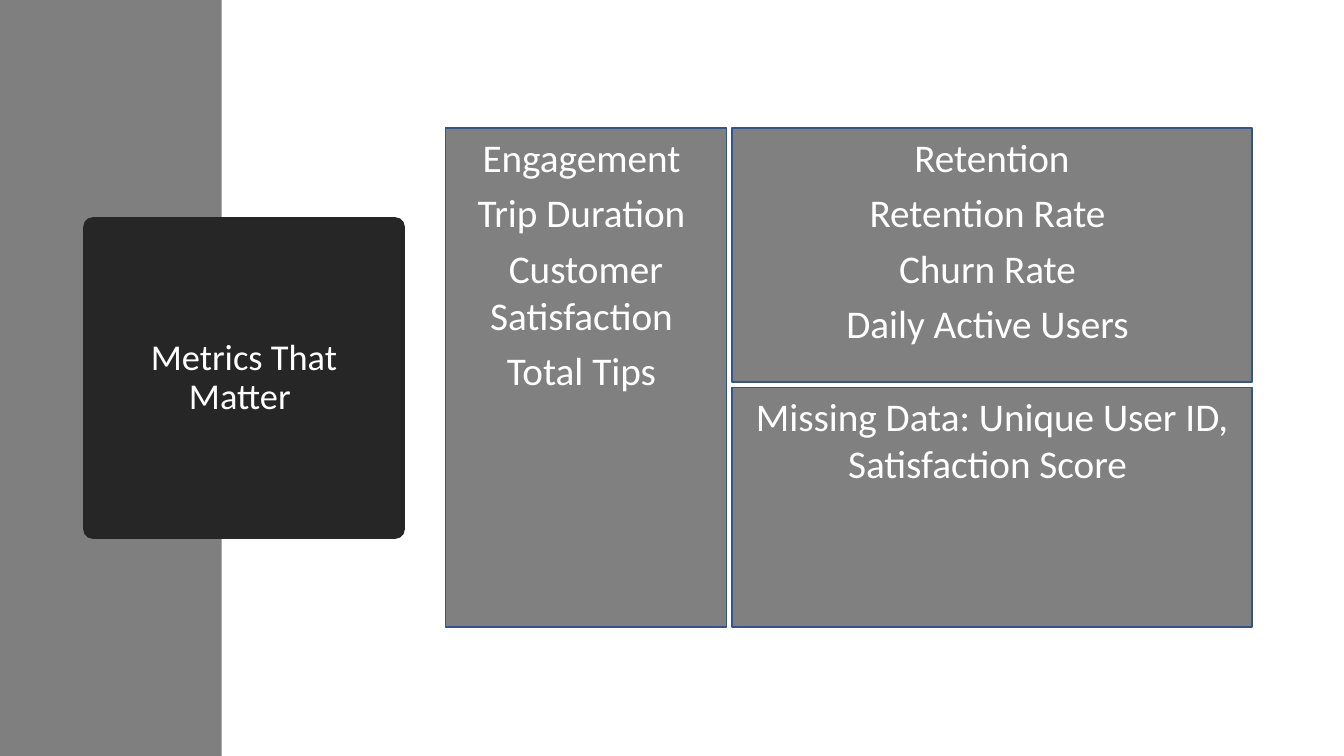
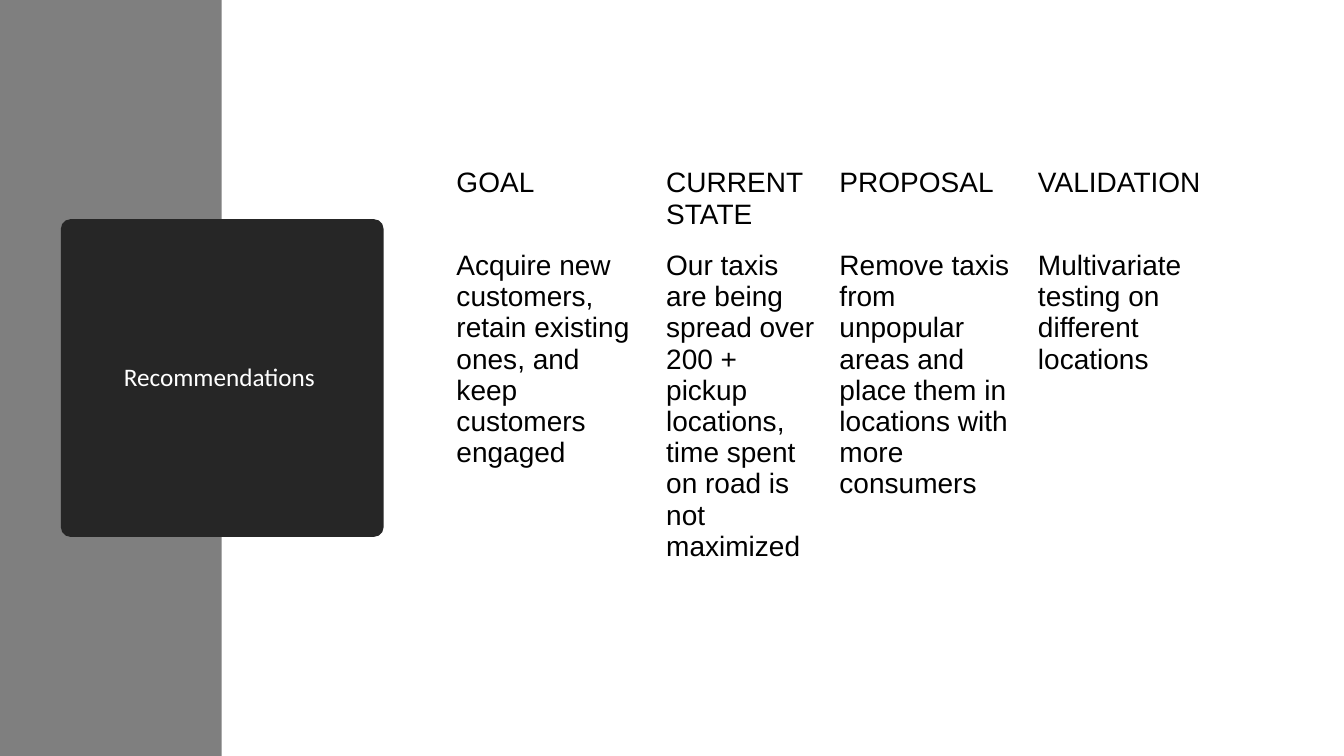
from dataclasses import dataclass

from pptx import Presentation
from pptx.dml.color import RGBColor
from pptx.enum.shapes import MSO_SHAPE
from pptx.enum.text import MSO_ANCHOR, PP_ALIGN
from pptx.util import Pt

RECTANGLE = MSO_SHAPE.RECTANGLE
ROUNDED = MSO_SHAPE.ROUNDED_RECTANGLE
CENTER, LEFT = PP_ALIGN.CENTER, PP_ALIGN.LEFT
TOP, MIDDLE = MSO_ANCHOR.TOP, MSO_ANCHOR.MIDDLE

COLORS = {
    "band": "7F7F7F",
    "panel": "808080",
    "panel_line": "325491",
    "title": "262626",
    "light": "FFFFFF",
    "dark": "000000",
}
SLIDE_WIDTH, SLIDE_HEIGHT = 960, 540
BAND_WIDTH = 158.4
CONTENT_LEFT = 318.2


@dataclass(frozen=True)
class Box:
    left: float
    top: float
    width: float
    height: float


@dataclass(frozen=True)
class TextStyle:
    size: float
    font: str
    color: str
    align: PP_ALIGN = CENTER
    paragraph_format: tuple = ()


@dataclass(frozen=True)
class Panel:
    box: Box
    lines: tuple[str, ...]


@dataclass(frozen=True)
class Title:
    text: str
    size: float
    left: float
    width: float
    height: float


@dataclass(frozen=True)
class Column:
    width: float
    heading: str
    body: str


# Metric panels: one tall panel beside two stacked ones
GAP = 4
PANEL_TOP, PANEL_HEIGHT = 91.4, 356.4
NARROW, WIDE, UPPER = 200.6, 371.5, 181.4
RIGHT_LEFT = CONTENT_LEFT + NARROW + GAP
LOWER_TOP = PANEL_TOP + UPPER + GAP
PANELS = (
    Panel(Box(CONTENT_LEFT, PANEL_TOP, NARROW, PANEL_HEIGHT),
          ("Engagement ", "Trip Duration ", "Customer Satisfaction ", "Total Tips ")),
    Panel(Box(RIGHT_LEFT, PANEL_TOP, WIDE, UPPER),
          ("Retention", "Retention Rate ", "Churn Rate ", "Daily Active Users ")),
    Panel(Box(RIGHT_LEFT, LOWER_TOP, WIDE, PANEL_HEIGHT - UPPER - GAP),
          ("Missing Data: Unique User ID, Satisfaction Score ",)),
)
PANEL_STYLE = TextStyle(28, "Calibri", "light", paragraph_format=(("space_after", Pt(6)),))

# Recommendation table
TABLE_TOP = 116
ROW_HEIGHTS = (59, 248.4)
COLUMNS = (
    Column(149.8, "GOAL",
           "Acquire new customers, retain existing ones, and keep customers engaged"),
    Column(123.8, "CURRENT STATE",
           "Our taxis are being spread over 200 + pickup locations, "
           "time spent on road is not maximized"),
    Column(141.8, "PROPOSAL",
           "Remove taxis from unpopular areas and place them in locations with more consumers"),
    Column(150.5, "VALIDATION", "Multivariate testing on different locations"),
)
TABLE_STYLE = TextStyle(20, "Arial", "dark", LEFT)
CELL_FORMAT = {
    "margin_left": Pt(7.9),
    "margin_right": Pt(7.9),
    "margin_top": Pt(3.6),
    "margin_bottom": Pt(3.6),
    "vertical_anchor": TOP,
}


def rgb(name: str) -> RGBColor:
    return RGBColor.from_string(COLORS[name])


def apply_format(target, values: dict) -> None:
    for name, value in values.items():
        setattr(target, name, value)


def write_text(frame, lines: tuple[str, ...], style: TextStyle) -> None:
    frame.word_wrap = True
    for index, line in enumerate(lines):
        paragraph = frame.paragraphs[0] if index == 0 else frame.add_paragraph()
        apply_format(paragraph, {"alignment": style.align, **dict(style.paragraph_format)})
        run = paragraph.add_run()
        run.text = line
        apply_format(run.font, {"size": Pt(style.size), "name": style.font, "bold": False})
        run.font.color.rgb = rgb(style.color)


def add_box(slide, kind: MSO_SHAPE, box: Box, fill: str, line: str | None = None):
    shape = slide.shapes.add_shape(
        kind, Pt(box.left), Pt(box.top), Pt(box.width), Pt(box.height))
    shape.shadow.inherit = False
    shape.fill.solid()
    shape.fill.fore_color.rgb = rgb(fill)
    if line:
        shape.line.color.rgb = rgb(line)
        shape.line.width = Pt(1)
    else:
        shape.line.fill.background()
    return shape


def add_base_slide(presentation):
    """Add a blank slide with the side band."""
    slide = presentation.slides.add_slide(presentation.slide_layouts[6])
    add_box(slide, RECTANGLE, Box(0, 0, BAND_WIDTH, SLIDE_HEIGHT), "band")
    return slide


def add_title(slide, title: Title) -> None:
    top = (SLIDE_HEIGHT - title.height) / 2
    shape = add_box(slide, ROUNDED, Box(title.left, top, title.width, title.height), "title")
    shape.adjustments[0] = 0.03
    apply_format(shape.text_frame, {
        "margin_left": Pt(20), "margin_right": Pt(20), "vertical_anchor": MIDDLE})
    style = TextStyle(title.size, "Calibri", "light",
                      paragraph_format=(("line_spacing", 0.9),))
    write_text(shape.text_frame, (title.text,), style)


def add_panel(slide, panel: Panel) -> None:
    shape = add_box(slide, RECTANGLE, panel.box, "panel", "panel_line")
    shape.text_frame.vertical_anchor = TOP
    write_text(shape.text_frame, panel.lines, PANEL_STYLE)


def add_recommendation_table(slide) -> None:
    width = sum(column.width for column in COLUMNS)
    table = slide.shapes.add_table(
        len(ROW_HEIGHTS), len(COLUMNS), Pt(CONTENT_LEFT), Pt(TABLE_TOP),
        Pt(width), Pt(sum(ROW_HEIGHTS))).table
    apply_format(table, {"first_row": False, "horz_banding": False})
    for row, height in zip(table.rows, ROW_HEIGHTS):
        row.height = Pt(height)
    for column_index, column in enumerate(COLUMNS):
        table.columns[column_index].width = Pt(column.width)
        for row_index, text in enumerate((column.heading, column.body)):
            cell = table.cell(row_index, column_index)
            cell.fill.background()
            apply_format(cell, CELL_FORMAT)
            write_text(cell.text_frame, (text,), TABLE_STYLE)


def main() -> None:
    presentation = Presentation()
    presentation.slide_width = Pt(SLIDE_WIDTH)
    presentation.slide_height = Pt(SLIDE_HEIGHT)

    # Metrics
    slide = add_base_slide(presentation)
    for panel in PANELS:
        add_panel(slide, panel)
    add_title(slide, Title("Metrics That Matter ", 26, 59.4, 229.8, 229.8))

    # Recommendations
    slide = add_base_slide(presentation)
    add_title(slide, Title("Recommendations ", 18, 43.5, 230.5, 226.9))
    add_recommendation_table(slide)

    presentation.save("out.pptx")


if __name__ == "__main__":
    main()
